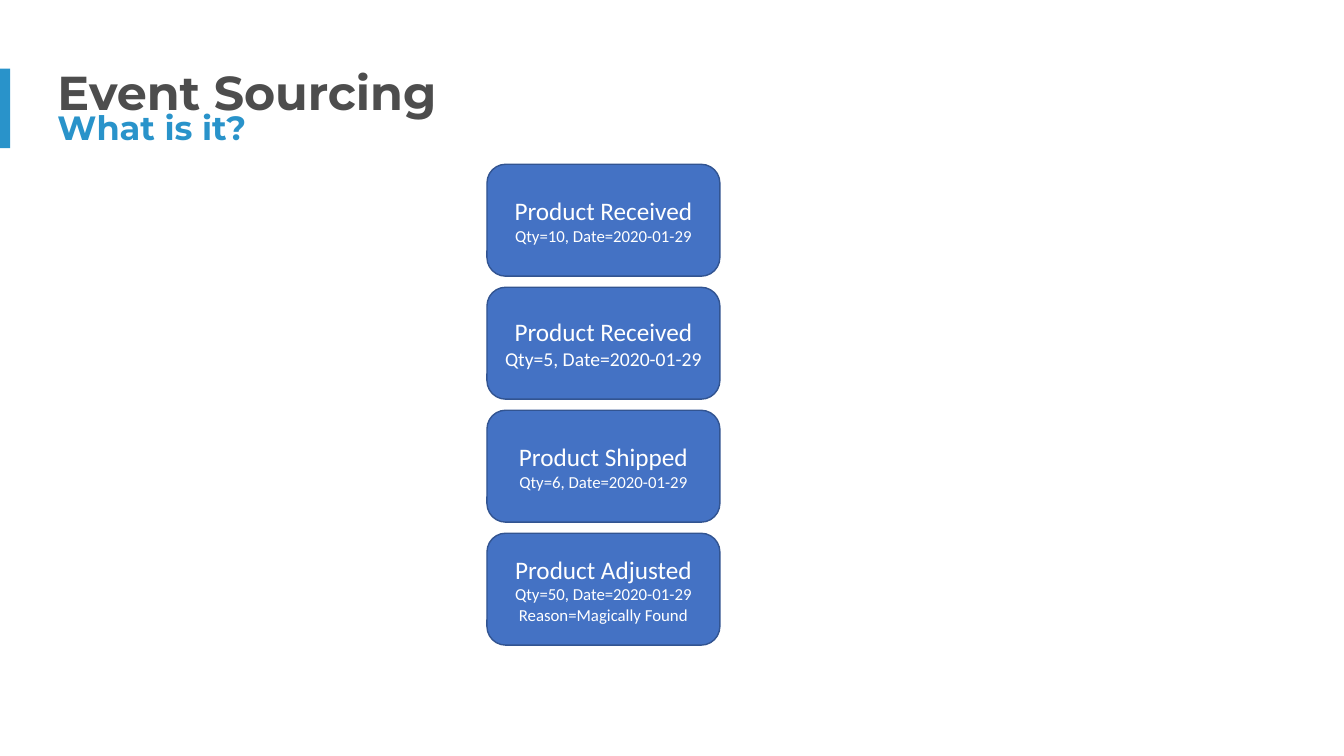
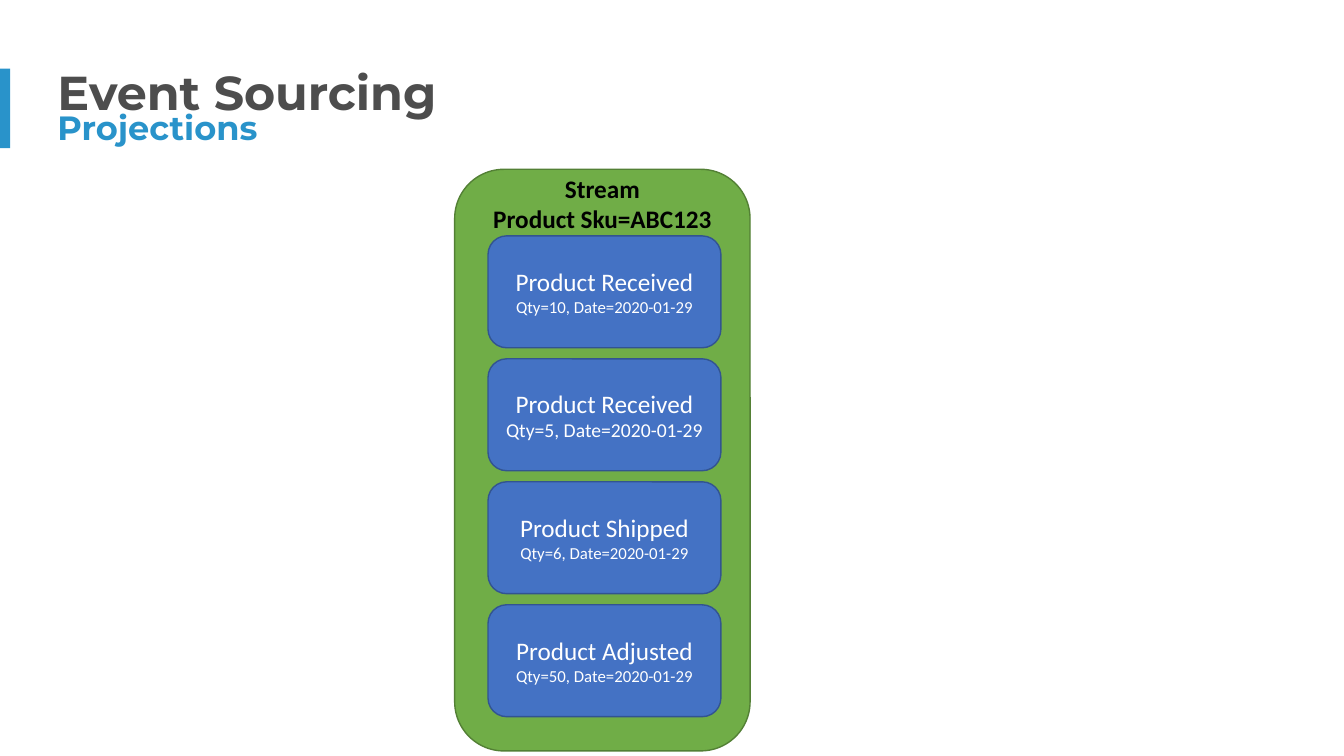
from dataclasses import dataclass

from pptx import Presentation
from pptx.dml.color import RGBColor
from pptx.enum.shapes import MSO_SHAPE
from pptx.enum.text import MSO_ANCHOR, MSO_AUTO_SIZE, PP_ALIGN
from pptx.util import Inches, Pt

RECTANGLE = MSO_SHAPE.RECTANGLE
ROUNDED = MSO_SHAPE.ROUNDED_RECTANGLE
TOP, MIDDLE = MSO_ANCHOR.TOP, MSO_ANCHOR.MIDDLE
NO_AUTOFIT = MSO_AUTO_SIZE.NONE
LEFT, CENTER = PP_ALIGN.LEFT, PP_ALIGN.CENTER
TITLE_ONLY = 5


@dataclass(frozen=True)
class Theme:
    heading_font: str = "Montserrat"
    body_font: str = "Calibri"
    title_color: str = "4D4D4D"
    accent: str = "2993CA"
    event_fill: str = "4472C4"
    event_line: str = "325491"
    stream_fill: str = "70AD47"
    stream_line: str = "538035"
    light_text: str = "FFFFFF"
    dark_text: str = "000000"
    title_size: int = 34
    subtitle_size: int = 24
    label_size: int = 18
    wide_detail_size: int = 14
    detail_size: int = 12


class Deck:
    def __init__(self, theme):
        self.theme = theme
        self.presentation = Presentation()
        self.presentation.slide_width = Inches(13.33)
        self.presentation.slide_height = Inches(7.5)
        self.slide = None

    def add_slide(self, title, subtitle):
        theme = self.theme
        layout = self.presentation.slide_layouts[TITLE_ONLY]
        self.slide = self.presentation.slides.add_slide(layout)
        self.heading(self.slide.shapes.title, title, (0.57, 0.62, 3.82, 0.57),
                     theme.title_size, theme.title_color)
        subtitle_box = self.slide.shapes.add_textbox(0, 0, 0, 0)
        self.heading(subtitle_box, subtitle, (0.57, 1.06, 2, 0.4),
                     theme.subtitle_size, theme.accent)
        self.box(RECTANGLE, (0, 0.68, 0.1, 0.79), theme.accent)

    def place(self, shape, bounds):
        shape.left, shape.top, shape.width, shape.height = map(Inches, bounds)

    def heading(self, shape, text, bounds, size, color):
        self.place(shape, bounds)
        frame = shape.text_frame
        frame.margin_left = frame.margin_right = 0
        frame.margin_top = frame.margin_bottom = 0
        self.set_text(shape, [text], [size], color, self.theme.heading_font,
                      bold=True, alignment=LEFT, anchor=TOP, wrap=False)

    def set_text(self, shape, lines, sizes, color, font_name, bold=False,
                 alignment=CENTER, anchor=MIDDLE, wrap=True):
        frame = shape.text_frame
        frame.text = "\n".join(lines)
        frame.auto_size = NO_AUTOFIT
        frame.word_wrap = wrap
        frame.vertical_anchor = anchor
        for paragraph, size in zip(frame.paragraphs, sizes):
            paragraph.alignment = alignment
            for run in paragraph.runs:
                run.font.name = font_name
                run.font.size = Pt(size)
                run.font.bold = bold
                run.font.color.rgb = RGBColor.from_string(color)

    def box(self, kind, bounds, fill, line=None):
        shape = self.slide.shapes.add_shape(kind, *map(Inches, bounds))
        shape.shadow.inherit = False
        shape.fill.solid()
        shape.fill.fore_color.rgb = RGBColor.from_string(fill)
        if line:
            shape.line.color.rgb = RGBColor.from_string(line)
            shape.line.width = Pt(1)
        else:
            shape.line.fill.background()
        return shape

    def event_stack(self, left, top, events):
        theme = self.theme
        height, gap = 1.11, 0.11
        for index, (name, detail_size, *details) in enumerate(events):
            bounds = (left, top + index * (height + gap), 2.31, height)
            card = self.box(ROUNDED, bounds, theme.event_fill, theme.event_line)
            sizes = [theme.label_size] + [detail_size] * len(details)
            self.set_text(card, [name, *details], sizes, theme.light_text,
                          theme.body_font)

    def stream(self, bounds, label_bounds, lines):
        theme = self.theme
        self.box(ROUNDED, bounds, theme.stream_fill, theme.stream_line)
        label = self.slide.shapes.add_textbox(*map(Inches, label_bounds))
        self.set_text(label, lines, [theme.label_size] * len(lines), theme.dark_text,
                      theme.body_font, bold=True, anchor=TOP, wrap=False)


theme = Theme()
deck = Deck(theme)

earlier_events = [
    ("Product Received", theme.detail_size, "Qty=10, Date=2020-01-29"),
    ("Product Received", theme.wide_detail_size, "Qty=5, Date=2020-01-29"),
    ("Product Shipped", theme.detail_size, "Qty=6, Date=2020-01-29"),
]
adjustment = ("Product Adjusted", theme.detail_size, "Qty=50, Date=2020-01-29")

deck.add_slide("Event Sourcing", "What is it?")
deck.event_stack(4.83, 1.63, [*earlier_events, (*adjustment, "Reason=Magically Found")])

deck.add_slide("Event Sourcing", "Projections")
deck.stream((4.51, 1.68, 2.93, 5.77), (4.78, 1.67, 2.39, 0.71),
            ["Stream", "Product Sku=ABC123"])
deck.event_stack(4.84, 2.34, [*earlier_events, adjustment])

deck.presentation.save("out.pptx")
